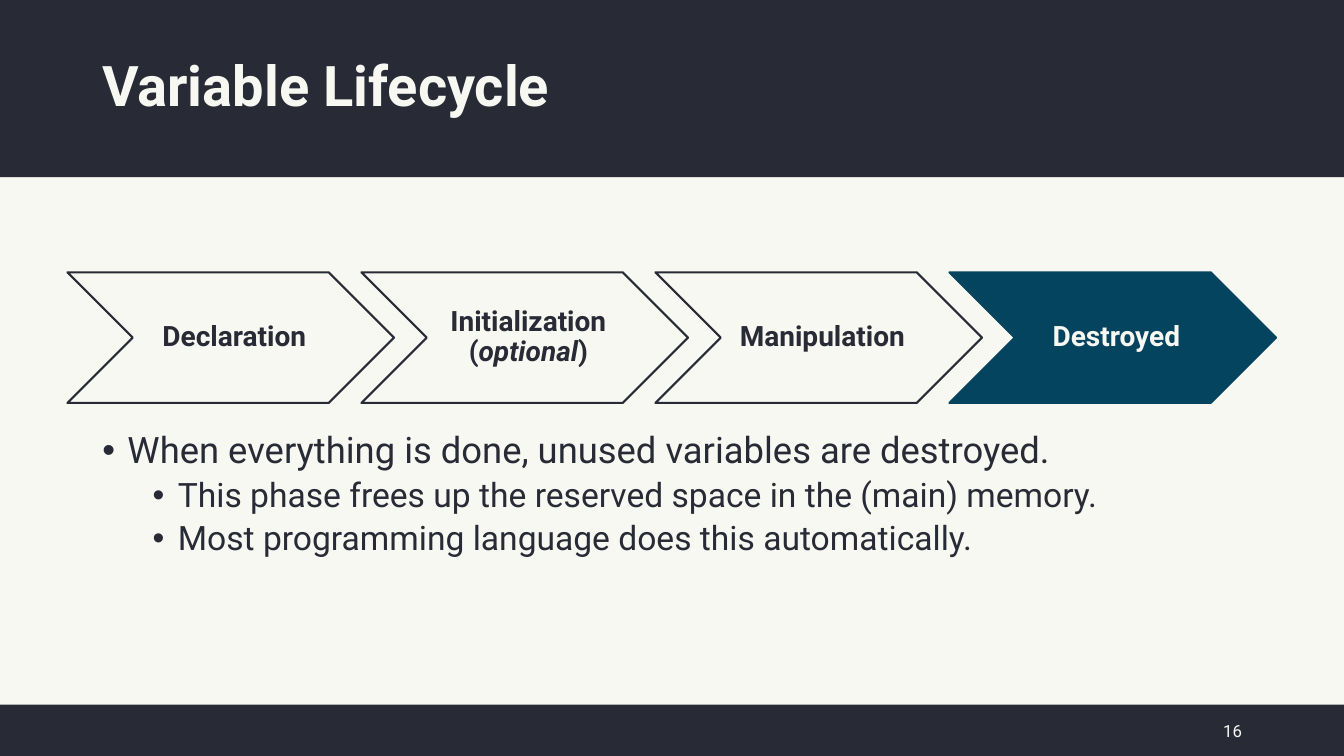
from dataclasses import dataclass

from lxml.etree import SubElement
from pptx import Presentation
from pptx.dml.color import RGBColor as RGB
from pptx.enum.shapes import MSO_SHAPE as SHAPE
from pptx.enum.text import MSO_ANCHOR as ANCHOR, PP_ALIGN as ALIGN
from pptx.oxml.ns import qn
from pptx.util import Pt

COLORS = {"dark": "282A36", "light": "F8F8F2", "accent": "05445E"}
FONT = "Roboto"
SLIDE_W, SLIDE_H = 960, 540

# Chevron row
CHEVRON_LEFT, CHEVRON_TOP = 48.2, 194.5
CHEVRON_W, CHEVRON_H, CHEVRON_STEP = 233.3, 93.3, 210


@dataclass
class Run:
    text: str
    size: float
    color: str = "dark"
    bold: bool = False
    italic: bool = False


@dataclass
class Phase:
    lines: list[list[Run]]
    active: bool = False


@dataclass
class Bullet:
    run: Run
    level: int = 0
    indent: float = 18
    before: float = 0


PHASES = [
    Phase([[Run("Declaration", 20, bold=True)]]),
    Phase([
        [Run("Initialization", 20, bold=True)],
        [Run("(", 20, bold=True),
         Run("optional", 20, bold=True, italic=True),
         Run(")", 20, bold=True)],
    ]),
    Phase([[Run("Manipulation", 20, bold=True)]]),
    Phase([[Run("Destroyed", 20, "light", bold=True)]], active=True),
]

BULLETS = [
    Bullet(Run("When everything is done, unused variables are destroyed.", 26)),
    Bullet(Run("This phase frees up the reserved space in the (main) memory.", 24),
           level=1, indent=54, before=5),
    Bullet(Run("Most programming language does this automatically.", 24),
           level=1, indent=54, before=5),
]


def rgb(name: str) -> RGB:
    return RGB.from_string(COLORS[name])


def add_run(p, run: Run) -> None:
    r = p.add_run()
    r.text = run.text
    r.font.name = FONT
    r.font.size = Pt(run.size)
    r.font.bold = run.bold
    r.font.italic = run.italic
    r.font.color.rgb = rgb(run.color)


def add_band(s, top: float, height: float) -> None:
    sp = s.shapes.add_shape(SHAPE.RECTANGLE, 0, Pt(top), Pt(SLIDE_W), Pt(height))
    sp.shadow.inherit = False
    sp.fill.solid()
    sp.fill.fore_color.rgb = rgb("dark")
    sp.line.fill.background()


def add_text_box(s, left: float, top: float, width: float, height: float, anchor: ANCHOR):
    tf = s.shapes.add_textbox(Pt(left), Pt(top), Pt(width), Pt(height)).text_frame
    tf.word_wrap = True
    tf.vertical_anchor = anchor
    return tf


def add_bullet(p, bullet: Bullet) -> None:
    p.level = bullet.level
    p.line_spacing = 0.9
    p.space_before = Pt(bullet.before)
    pPr = p._p.get_or_add_pPr()
    pPr.set("marL", str(Pt(bullet.indent)))
    pPr.set("indent", str(Pt(-18)))
    SubElement(pPr, qn("a:buFont")).set("typeface", "Arial")
    SubElement(pPr, qn("a:buChar")).set("char", "•")
    add_run(p, bullet.run)


def add_chevron(s, left: float, phase: Phase) -> None:
    sp = s.shapes.add_shape(SHAPE.CHEVRON, Pt(left), Pt(CHEVRON_TOP),
                            Pt(CHEVRON_W), Pt(CHEVRON_H))
    sp.adjustments[0] = 0.5
    sp.shadow.inherit = False
    if phase.active:
        sp.fill.solid()
        sp.fill.fore_color.rgb = rgb("accent")
    else:
        sp.fill.background()
    sp.line.color.rgb = rgb("accent" if phase.active else "dark")
    sp.line.width = Pt(1.5)

    tf = sp.text_frame
    tf.word_wrap = True
    tf.vertical_anchor = ANCHOR.MIDDLE
    tf.margin_left = Pt(8)
    tf.margin_right = tf.margin_top = tf.margin_bottom = Pt(2.7)
    p = tf.paragraphs[0]
    p.alignment = ALIGN.CENTER
    p.line_spacing = 0.9
    for i, line in enumerate(phase.lines):
        if i:
            p.add_line_break()
        for run in line:
            add_run(p, run)


def main() -> None:
    prs = Presentation()
    prs.slide_width, prs.slide_height = Pt(SLIDE_W), Pt(SLIDE_H)
    s = prs.slides.add_slide(prs.slide_layouts[6])

    # Background and bands
    s.background.fill.solid()
    s.background.fill.fore_color.rgb = rgb("light")
    add_band(s, 0, 126.5)
    add_band(s, 503.3, SLIDE_H - 503.3)

    # Title
    p = add_text_box(s, 66, 10.8, 828, 104.4, ANCHOR.MIDDLE).paragraphs[0]
    p.line_spacing = 0.9
    add_run(p, Run("Variable Lifecycle", 40, "light", bold=True))

    # Lifecycle phases
    for i, phase in enumerate(PHASES):
        add_chevron(s, CHEVRON_LEFT + i * CHEVRON_STEP, phase)

    # Explanation
    tf = add_text_box(s, 66, 305.3, 828, 181.4, ANCHOR.TOP)
    for i, bullet in enumerate(BULLETS):
        add_bullet(tf.add_paragraph() if i else tf.paragraphs[0], bullet)

    # Slide number
    p = add_text_box(s, 841, 507.6, 53.3, 28.8, ANCHOR.MIDDLE).paragraphs[0]
    p.alignment = ALIGN.RIGHT
    add_run(p, Run("16", 12, "light"))

    prs.save("out.pptx")


if __name__ == "__main__":
    main()
